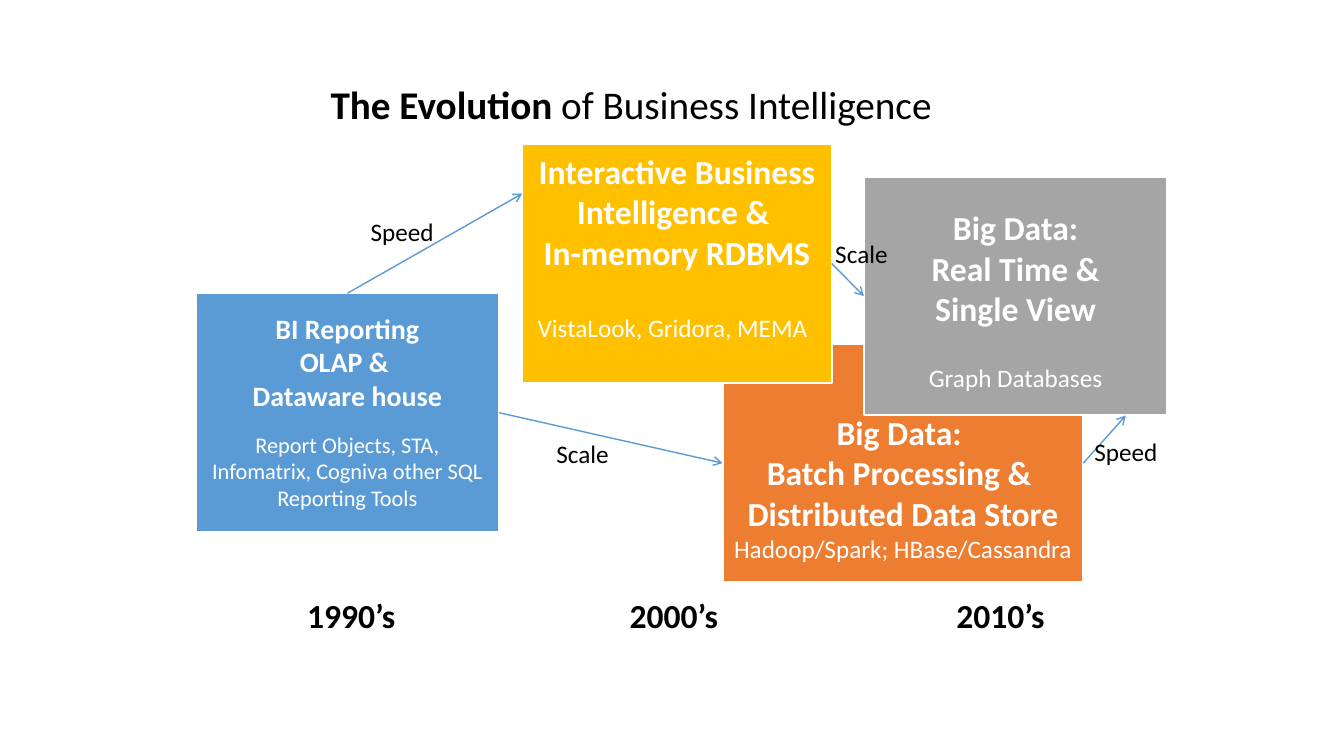
from dataclasses import dataclass

from lxml.etree import SubElement
from pptx import Presentation
from pptx.dml.color import RGBColor
from pptx.enum.shapes import MSO_CONNECTOR as Connector, MSO_SHAPE as Shape
from pptx.enum.text import MSO_ANCHOR as Anchor, PP_ALIGN as Align
from pptx.oxml.ns import qn
from pptx.util import Cm, Pt


@dataclass(frozen=True)
class Theme:
    font: str = "Calibri"
    black: RGBColor = RGBColor(0x00, 0x00, 0x00)
    white: RGBColor = RGBColor(0xFF, 0xFF, 0xFF)
    blue: RGBColor = RGBColor(0x5B, 0x9B, 0xD5)
    gold: RGBColor = RGBColor(0xFF, 0xC0, 0x00)
    gray: RGBColor = RGBColor(0xA5, 0xA5, 0xA5)
    orange: RGBColor = RGBColor(0xED, 0x7D, 0x31)
    title: int = 28
    heading: int = 24
    small_heading: int = 20
    body: int = 18
    small_body: int = 16


theme = Theme()


def style(run, size, color, bold=False):
    run.font.name = theme.font
    run.font.size = Pt(size)
    run.font.color.rgb = color
    run.font.bold = bold


def add_label(left, top, width, height, text, size, bold=False):
    """Add a one-line text box and return its text frame."""
    frame = slide.shapes.add_textbox(Cm(left), Cm(top), Cm(width), Cm(height)).text_frame
    frame.word_wrap = False
    frame.text = text
    style(frame.paragraphs[0].runs[0], size, theme.black, bold)
    return frame


presentation = Presentation()
presentation.slide_width = Cm(33.87)
presentation.slide_height = Cm(19.05)
slide = presentation.slides.add_slide(presentation.slide_layouts[6])

# Stages, from back to front
stage_height = 6.02
# name, left, top, width, fill, top margin, headings, heading size, tools, tools size, gap
stages = [
    ("batch", 18.21, 8.66, 9.09, theme.orange, 1.72,
     ["Big Data: ", "Batch Processing & ", "Distributed Data Store"], theme.heading,
     "Hadoop/Spark; HBase/Cassandra", theme.body, 0),
    ("reporting", 4.93, 7.39, 7.65, theme.blue, 0.45,
     ["BI Reporting", "OLAP & ", "Dataware house"], theme.small_heading,
     "Report Objects, STA, Infomatrix, Cogniva other SQL Reporting Tools",
     theme.small_body, 13.4),
    ("interactive", 13.16, 3.63, 7.8, theme.gold, 0.17,
     ["Interactive Business Intelligence & ", "In-memory RDBMS"], theme.heading,
     "VistaLook, Gridora, MEMA", theme.body, 29.3),
    ("real time", 21.77, 4.45, 7.65, theme.gray, 0.77,
     ["Big Data:", "Real Time &", "Single View"], theme.heading,
     "Graph Databases", theme.body, 24.4),
]
boxes = {}
for (name, left, top, width, fill, margin, headings, heading_size,
     tools, tools_size, gap) in stages:
    box = slide.shapes.add_shape(
        Shape.RECTANGLE, Cm(left), Cm(top), Cm(width), Cm(stage_height))
    box.shadow.inherit = False
    box.fill.solid()
    box.fill.fore_color.rgb = fill
    box.line.color.rgb = theme.white
    box.line.width = Pt(1.5)
    frame = box.text_frame
    frame.word_wrap = True
    frame.vertical_anchor = Anchor.TOP
    frame.margin_top = Cm(margin)
    frame.text = "\n".join([*headings, tools])
    for paragraph in frame.paragraphs:
        paragraph.alignment = Align.CENTER
        style(paragraph.runs[0], heading_size, theme.white, bold=True)
    tools_line = frame.paragraphs[-1]
    tools_line.space_before = Pt(gap)
    style(tools_line.runs[0], tools_size, theme.white)
    boxes[name] = box

interactive_tools = boxes["interactive"].text_frame.paragraphs[-1]
interactive_tools.alignment = Align.LEFT
interactive_tools._p.get_or_add_pPr().set("marL", str(Cm(0.14)))

# Title
title = add_label(8.08, 1.7, 20.47, 1.65, "The Evolution ", theme.title, bold=True)
title.word_wrap = True
title.vertical_anchor = Anchor.BOTTOM
title.paragraphs[0].line_spacing = 0.9
subject = title.paragraphs[0].add_run()
subject.text = "of Business Intelligence"
style(subject, theme.title, theme.black)

# Decades
for decade, left in [("1990’s", 7.49), ("2000’s", 15.62), ("2010’s", 23.85)]:
    add_label(left, 14.86, 2.82, 1.27, decade, theme.heading, bold=True)

# Arrows: start box and side, end box and side (or a free end point), label and its place
top_side, left_side, right_side = 0, 1, 3
arrows = [
    ("reporting", top_side, None, (13.16, 4.88), "Speed", 9.09, 5.33),
    ("reporting", right_side, "batch", left_side, "Scale", 13.77, 10.92),
    ("interactive", right_side, "real time", left_side, "Scale", 20.8, 5.89),
    ("batch", right_side, None, (28.37, 10.47), "Speed", 27.33, 10.87),
]
label_widths = {"Speed": 2.11, "Scale": 1.85}
for start, start_side, end, target, label, left, top in arrows:
    end_x, end_y = (0, 0) if end else target
    arrow = slide.shapes.add_connector(
        Connector.STRAIGHT, Cm(0), Cm(0), Cm(end_x), Cm(end_y))
    arrow.begin_connect(boxes[start], start_side)
    if end:
        arrow.end_connect(boxes[end], target)
    arrow.line.color.rgb = theme.blue
    arrow.line.width = Pt(1)
    SubElement(arrow.line._get_or_add_ln(), qn("a:tailEnd"), type="arrow")
    SubElement(arrow._element.spPr, qn("a:effectLst"))
    add_label(left, top, label_widths[label], 1.02, label, theme.body)

presentation.save("out.pptx")
